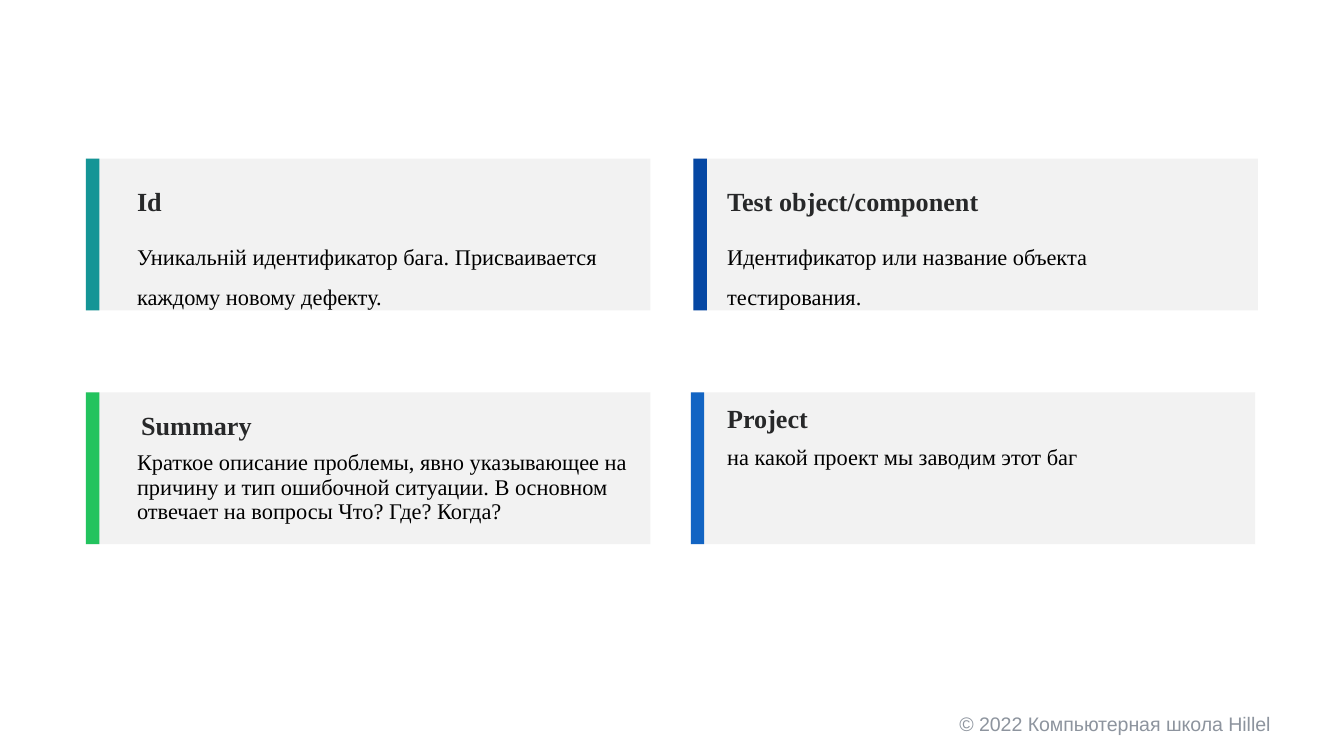
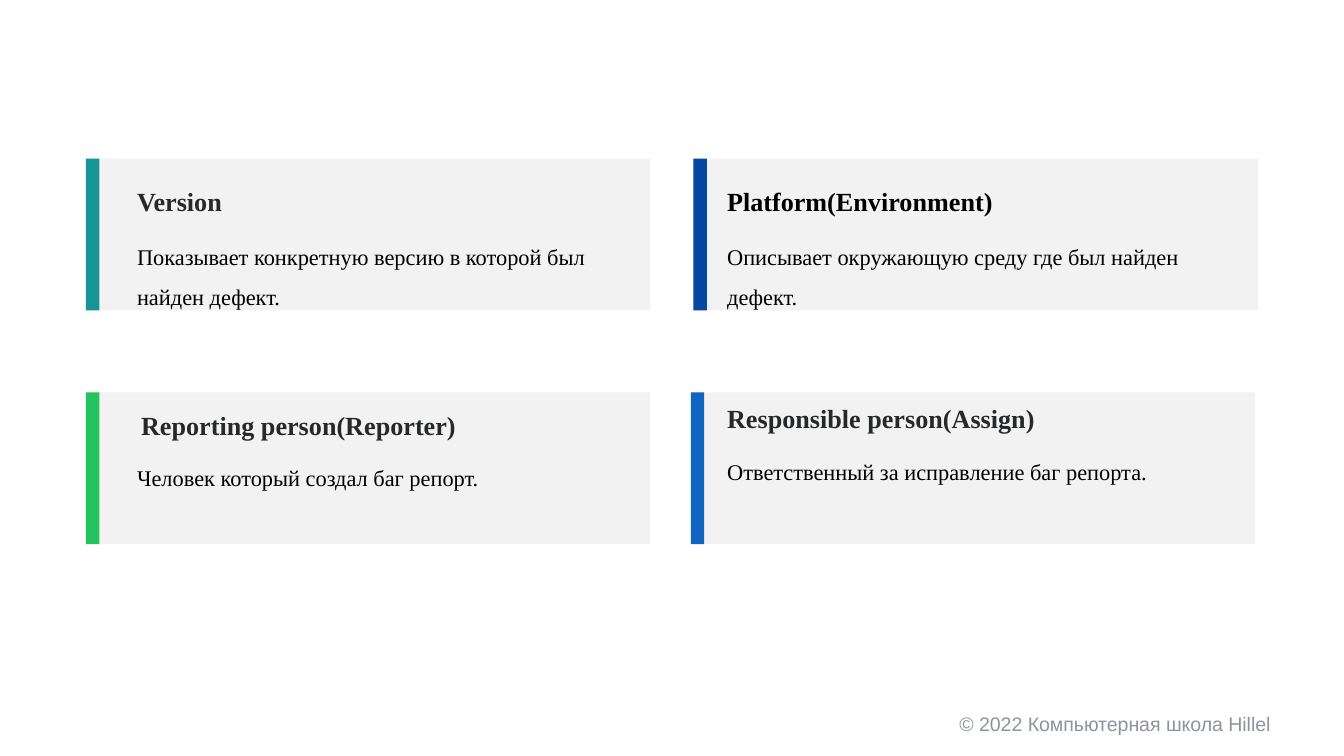
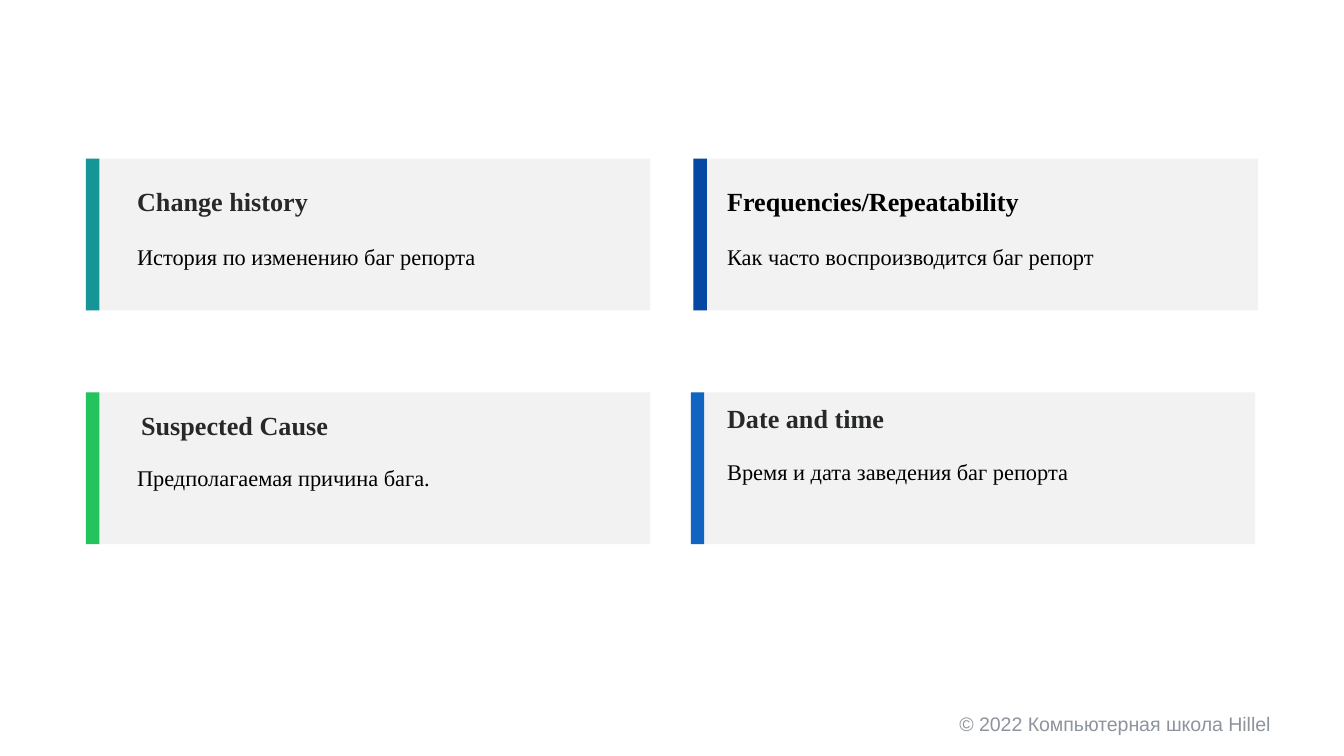
from dataclasses import dataclass

from pptx import Presentation
from pptx.dml.color import RGBColor
from pptx.enum.shapes import MSO_SHAPE as Shape
from pptx.enum.text import MSO_ANCHOR as Anchor
from pptx.util import Inches, Pt


# Colours, fonts and type sizes
@dataclass(frozen=True)
class Theme:
    panel: str = "F2F2F2"
    heading: str = "272829"
    body: str = "000000"
    footer: str = "8D949E"
    serif: str = "Times New Roman"
    sans: str = "Arial"
    heading_size: float = 14
    body_size: float = 12
    footer_size: float = 10.5
    tight: float = 0.9
    loose: float = 1.46


THEME = Theme()
CARD_WIDTH, CARD_HEIGHT, STRIPE_WIDTH = 4.2, 1.13, 0.1
FOOTER = "© 2022 Компьютерная школа Hillel"


# A place for one card: panel corner, stripe colour, heading and body boxes
@dataclass(frozen=True)
class Slot:
    left: float
    top: float
    stripe: str
    heading_at: tuple
    body_at: tuple


SLOTS = {
    "bottom left": Slot(0.64, 2.92, "23C35E", (1.01, 3.03, 3.62, 0.27), (0.98, 3.34, 3.86, 0.77)),
    "top left": Slot(0.64, 1.18, "159596", (0.98, 1.3, 1.66, 0.33), (0.98, 1.7, 3.74, 0.56)),
    "bottom right": Slot(5.14, 2.92, "1264C3", (5.37, 2.98, 3.37, 0.27), (5.37, 3.3, 3.78, 0.46)),
    "top right": Slot(5.16, 1.18, "0547A3", (5.37, 1.3, 2.64, 0.33), (5.37, 1.7, 3.78, 0.56)),
}


# A bug report field: its name, its meaning and any departure from the usual format
@dataclass(frozen=True)
class Field:
    name: str
    meaning: str
    color: str = THEME.heading
    spacing: float = THEME.loose
    heading_width: float = 0  # 0 keeps the width of the slot


PAGES = [
    {
        "bottom left": Field(
            "Summary",
            "Краткое описание проблемы, явно указывающее на причину и тип ошибочной ситуации. "
            "В основном отвечает на вопросы Что? Где? Когда?",
            spacing=THEME.tight, heading_width=1.65),
        "top left": Field(
            "Id", "Уникальній идентификатор бага. Присваивается каждому новому дефекту."),
        "bottom right": Field(
            "Project", "на какой проект мы заводим этот баг",
            spacing=THEME.tight, heading_width=1.54),
        "top right": Field(
            "Test object/component", "Идентификатор или название объекта тестирования."),
    },
    {
        "bottom left": Field("Reporting person(Reporter)", "Человек который создал баг репорт."),
        "top left": Field(
            "Version", "Показывает конкретную версию в которой был найден дефект."),
        "bottom right": Field(
            "Responsible person(Assign)", "Ответственный за исправление баг репорта."),
        "top right": Field(
            "Platform(Environment)", "Описывает окружающую среду где был найден дефект.",
            color=THEME.body),
    },
    {
        "bottom left": Field("Suspected Cause", "Предполагаемая причина бага."),
        "top left": Field("Change history", "История по изменению баг репорта"),
        "bottom right": Field("Date and time", "Время и дата заведения баг репорта"),
        "top right": Field(
            "Frequencies/Repeatability", "Как часто воспроизводится баг репорт",
            color=THEME.body),
    },
]


def add_block(page, left, top, width, height, color):
    block = page.shapes.add_shape(
        Shape.RECTANGLE, Inches(left), Inches(top), Inches(width), Inches(height))
    block.shadow.inherit = False
    block.fill.solid()
    block.fill.fore_color.rgb = RGBColor.from_string(color)
    block.line.fill.background()


def add_text(page, text, at, *, size, color, font=THEME.serif, bold=False,
             anchor=Anchor.TOP, spacing=1.0, insets=(0.04, 0.02)):
    box = page.shapes.add_textbox(*(Inches(length) for length in at))
    frame = box.text_frame
    frame.word_wrap = True
    frame.vertical_anchor = anchor
    frame.margin_left = frame.margin_right = Inches(insets[0])
    frame.margin_top = frame.margin_bottom = Inches(insets[1])
    para = frame.paragraphs[0]
    para.line_spacing = spacing
    span = para.add_run()
    span.text = text
    span.font.name = font
    span.font.size = Pt(size)
    span.font.bold = bold
    span.font.color.rgb = RGBColor.from_string(color)


def add_card(page, slot, field):
    add_block(page, slot.left, slot.top, CARD_WIDTH, CARD_HEIGHT, THEME.panel)
    add_block(page, slot.left, slot.top, STRIPE_WIDTH, CARD_HEIGHT, slot.stripe)
    left, top, width, height = slot.heading_at
    add_text(page, field.name, (left, top, field.heading_width or width, height),
             size=THEME.heading_size, color=field.color, bold=True, anchor=Anchor.BOTTOM)
    add_text(page, field.meaning, slot.body_at, size=THEME.body_size,
             color=THEME.body, spacing=field.spacing)


def add_footer(page):
    add_text(page, FOOTER, (7.04, 5.21, 2.67, 0.38), size=THEME.footer_size,
             color=THEME.footer, font=THEME.sans, insets=(0.1, 0.1))


def main():
    deck = Presentation()
    # Widescreen, 16:9
    deck.slide_width = Inches(10)
    deck.slide_height = Inches(10 * 9 / 16)
    blank = deck.slide_layouts[6]
    for fields in PAGES:
        page = deck.slides.add_slide(blank)
        add_footer(page)
        for place, field in fields.items():
            add_card(page, SLOTS[place], field)
    deck.save("out.pptx")


if __name__ == "__main__":
    main()
